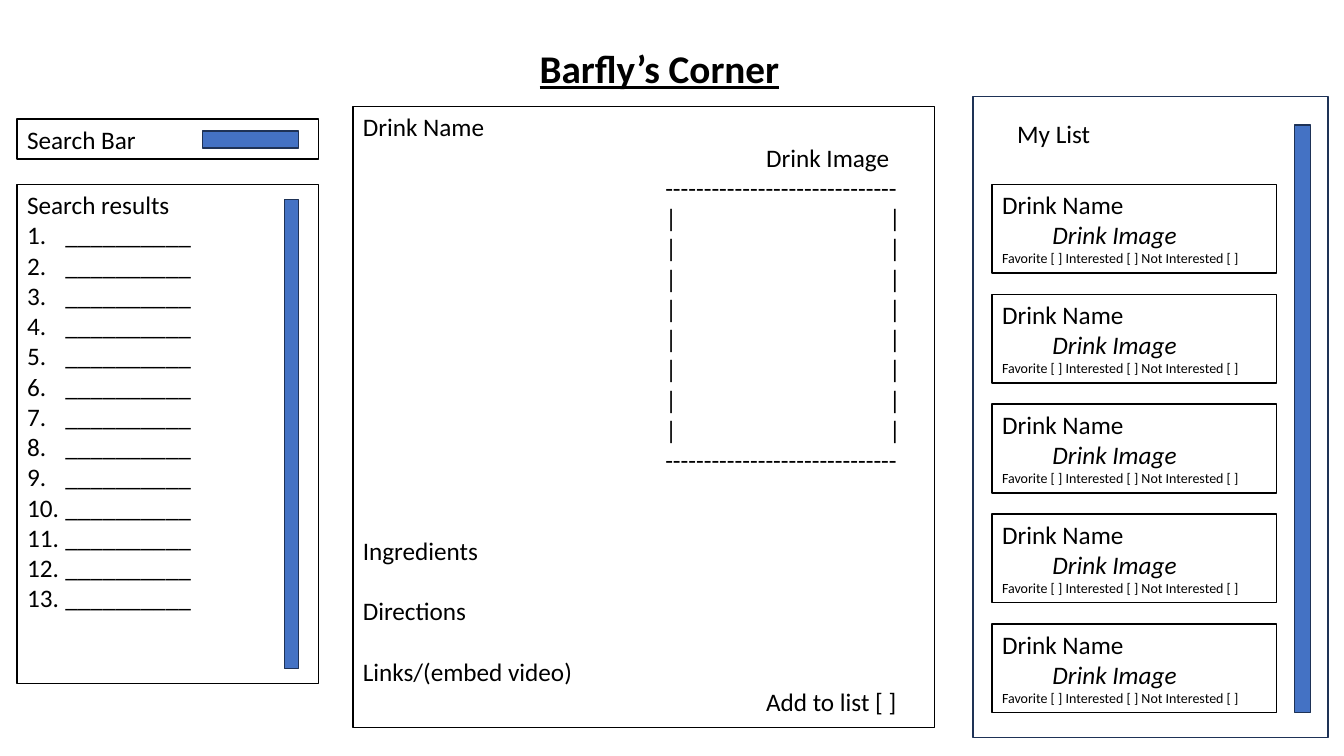
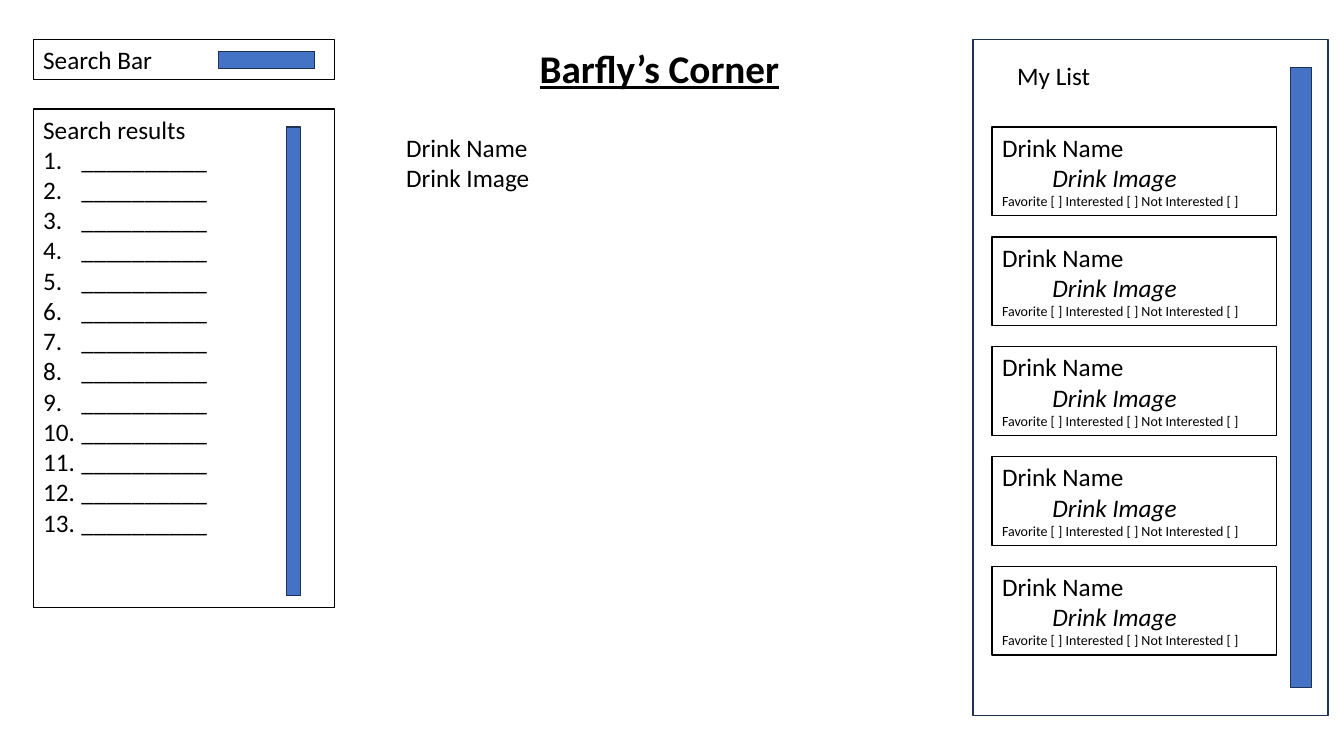
from lxml import etree
from pptx import Presentation
from pptx.dml.color import RGBColor
from pptx.enum import shapes, text as tx
from pptx.oxml.ns import qn
from pptx.util import Pt

PX = 9144  # EMU per px, 100 px to the inch
WIDTH, HEIGHT = 1333, 750
FONT = "Calibri"
COLORS = {"paper": "FFFFFF", "ink": "000000", "bar": "4472C4", "edge": "1E3256"}
LINE_PT = 21.6  # height of one 18 pt line


def color(name):
    return RGBColor.from_string(COLORS[name])


def write(frame, content, size=18, bold=False, italic=False, underline=False,
          align=None, indent=0, hanging=0, gap=0, stops=(), numbered=False):
    """Add one formatted paragraph to a text frame."""
    paragraph = frame.add_paragraph() if frame.text else frame.paragraphs[0]
    if align is not None:
        paragraph.alignment = align
    if gap:
        paragraph.space_before = Pt(gap)
    run = paragraph.add_run()
    run.text = content
    font = run.font
    font.name, font.size = FONT, Pt(size)
    font.bold, font.italic, font.underline = bold, italic, underline
    font.color.rgb = color("ink")

    # Indents, numbering and tab stops
    props = paragraph._p.get_or_add_pPr()
    if indent:
        props.set("marL", str(indent * PX))
        props.set("indent", str(-hanging * PX))
    if numbered:
        etree.SubElement(props, qn("a:buAutoNum"), type="arabicPeriod")
    if stops:
        tabs = etree.SubElement(props, qn("a:tabLst"))
        for stop in stops:
            etree.SubElement(tabs, qn("a:tab"), pos=str(stop * PX), algn="l")


class Wireframe:
    def __init__(self):
        self.deck = Presentation()
        self.deck.slide_width, self.deck.slide_height = WIDTH * PX, HEIGHT * PX
        self.slide = None

    def page(self):
        self.slide = self.deck.slides.add_slide(self.deck.slide_layouts[6])
        title = self.label(393, 39, 522, 57)
        write(title, "Barfly’s Corner", size=28, bold=True, underline=True,
              align=tx.PP_ALIGN.CENTER)

    def label(self, *box):
        frame = self.slide.shapes.add_textbox(*(n * PX for n in box)).text_frame
        frame.word_wrap = True
        return frame

    def panel(self, *box, fill="paper", line="ink"):
        panel = self.slide.shapes.add_shape(
            shapes.MSO_SHAPE.RECTANGLE, *(n * PX for n in box))
        panel.shadow.inherit = False
        if fill:
            panel.fill.solid()
            panel.fill.fore_color.rgb = color(fill)
        else:
            panel.fill.background()
        panel.line.color.rgb = color(line)
        panel.line.width = Pt(1)
        frame = panel.text_frame
        frame.word_wrap = True
        frame.vertical_anchor = tx.MSO_ANCHOR.TOP
        frame.paragraphs[0].alignment = tx.PP_ALIGN.LEFT
        return frame

    def bar(self, *box):
        self.panel(*box, fill="bar", line="edge")

    def search(self, left, top, results_top, scroll):
        write(self.panel(left, top, 299, 40), "Search Bar")
        self.bar(left + 184, top + 12, 95, 17)
        results = self.panel(left, results_top, 299, 495)
        write(results, "Search results")
        for _ in range(13):
            write(results, "__________", indent=38, hanging=38,
                  numbered=True, align=tx.PP_ALIGN.LEFT)
        self.bar(*scroll, 14, 465)

    def card(self, left, top):
        card = self.panel(left, top, 282, 88)
        left_align = tx.PP_ALIGN.LEFT
        write(card, "Drink Name", align=left_align)
        write(card, "Drink Image", italic=True, indent=50, align=left_align)
        write(card, "Favorite [ ] Interested [ ] Not Interested [ ]",
              size=10, align=left_align)

    def my_list(self, top, height, scroll):
        self.panel(965, top, 352, height, fill=None, line="edge")
        write(self.label(999, top + 16, 268, 40), "My List")
        for row in range(5):
            self.card(984, top + 87 + row * 109)
        self.bar(*scroll)

    def drink_detail(self):
        detail = self.panel(350, 106, 577, 616)
        edge = "\t" + "-" * 30
        rows = [("Drink Name", {}),
                ("\tDrink Image", {"stops": [400]}),
                (edge, {"stops": [300]}),
                *[("\t|\t|", {"stops": [300, 522]})] * 8,
                (edge, {"stops": [300]}),
                ("Ingredients", {"gap": 2 * LINE_PT}),
                ("Directions", {"gap": LINE_PT}),
                ("Links/(embed video)", {"gap": LINE_PT}),
                ("\tAdd to list [ ]", {"stops": [400]})]
        for content, style in rows:
            write(detail, content, align=tx.PP_ALIGN.LEFT, **style)


def main():
    frame = Wireframe()

    # Slide 1: drink detail between search and list
    frame.page()
    frame.search(17, 118, 183, scroll=(282, 198))
    frame.drink_detail()
    frame.my_list(96, 636, scroll=(1284, 124, 16, 583))

    # Slide 2: short drink entry
    frame.page()
    frame.search(33, 39, 108, scroll=(284, 126))
    frame.my_list(39, 671, scroll=(1280, 67, 21, 615))
    drink = frame.label(393, 126, 220, 71)
    for content in ("Drink Name", "Drink Image"):
        write(drink, content)

    frame.deck.save("out.pptx")


if __name__ == "__main__":
    main()
